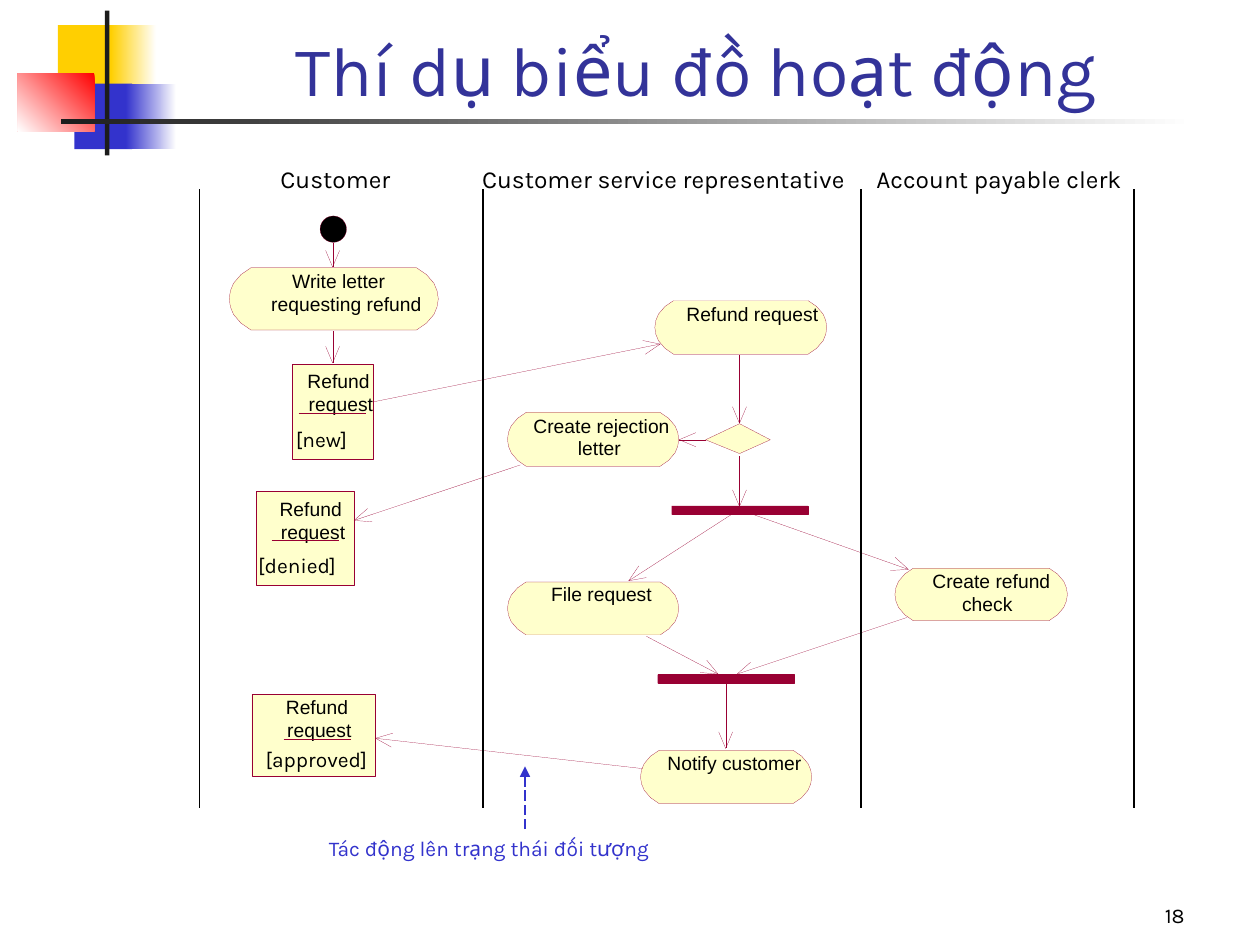
"""Build the swimlane activity diagram slide for a refund request."""
import math
from lxml import etree
from pptx import Presentation, util as u
from pptx.dml.color import RGBColor
from pptx.enum import dml, shapes, text
from pptx.oxml.ns import qn

Pt = u.Pt
C = dict(white="FFFFFF", yellow="FFCF01", blue="3333CC", red="FF0000", dark="1C1C1C",
         title="333399", black="000000", cream="FFFFCC", wine="990033")
ARIAL, KARLA = ("Arial", 11), "Karla"
DASH = dml.MSO_LINE.SQUARE_DOT
HAIRLINE = 0.1
HEAD_LENGTH, HEAD_HALF = 9.5, 4
LINE_PITCH, LABEL_SLACK = 13.1, 3

DECOR = [
    ((33.1, 14.4, 34.6, 37.4), "yellow", None, 0),
    ((63.4, 14.4, 25.9, 37.4), "yellow", "white", 0),
    ((42.5, 47.8, 33.1, 37.4), "blue", None, 0),
    ((72, 47.8, 28.8, 37.4), "blue", "white", 0),
    ((10.1, 41.8, 43.9, 33.1), "red", "white", 225),
    ((60, 6, 2.5, 82.8), "dark", None, 0),
    ((34.6, 68.3, 648, 2.5), "dark", "white", 0),
]
LANES = [114, 276, 492, 648]
LANE_TOP, LANE_BOTTOM = 108, 462
LANE_NAMES = [
    ("Customer", 153.2, 79.2),
    ("Customer service representative", 268.4, 228.2),
    ("Account payable clerk", 493.7, 158.4),
]
OBJECTS = [
    ((167, 208.1, 46.4, 54.3), (175.7, 210.8), (170.6, 235.8), ("[new]", 162, 240, 46.1)),
    ((146.4, 280.8, 56.2, 53.6), (159.8, 284.2), (155.2, 308.9), ("[denied]", 140.4, 312, 61.2)),
    ((143.8, 396.7, 70.4, 46.8), (163.4, 397.2), (162, 422.6), ("[approved]", 144.7, 423.2, 76.3)),
]
ACTIVITIES = [
    ((131, 153, 119.5, 35.6), 154.1, [("Write letter", 167, 56.2), ("requesting refund", 155, 85.7)]),
    ((374.2, 171.8, 98.3, 30.6), 172.8, [("Refund request", 392.2, 75.6)]),
    ((290, 235.6, 97.9, 31), 236.5, [("Create rejection", 304.8, 81.4), ("letter", 330.3, 24.5)]),
    ((290, 332.6, 97.9, 30.2), 332.6, [("File request", 314.9, 57.6)]),
    ((366, 428.8, 97.9, 30.4), 429.1, [("Notify customer", 381.4, 77)]),
    ((511.4, 324.7, 98.6, 30), 325.6, [("Create refund", 532.8, 70.6), ("check", 549.8, 28.8)]),
]
SYNC_BARS = [(383.8, 289.1, 77.8, 5), (375.8, 385.5, 77.8, 5)]
DECISION = [(403.2, 251.3), (422.6, 242.1), (440.2, 251.3), (422.6, 259.2)]
START = (182.9, 123.4, 15.1, 15.1)
FLOWS = [
    ((190.1, 139), (190.1, 152.6), None),
    ((190.1, 189.4), (190.1, 207.4), DASH),
    ((213.1, 229.7), (377.3, 196.6), DASH),
    ((422.6, 203), (422.6, 241.9), None),
    ((403.2, 251.3), (388.1, 251.3), None),
    ((297.4, 265.7), (202.3, 297.4), DASH),
    ((422.6, 260.6), (422.6, 289.4), None),
    ((418.3, 293.8), (359.3, 331.9), None),
    ((429.8, 293.8), (519.1, 325.4), None),
    ((369.4, 363.6), (410.4, 385.2), None),
    ((518.4, 352.8), (421.2, 385.2), None),
    ((414.7, 390.2), (414.7, 427.7), None),
    ((367.2, 439.2), (214.6, 421.9), DASH),
]
END_CURVE = [(0.35, 0), (0.19, 0.11), (0.07, 0.25), (0.02, 0.37), (0, 0.5),
             (0.02, 0.63), (0.07, 0.75), (0.19, 0.89), (0.35, 1)]

prs = Presentation()
prs.slide_width, prs.slide_height = Pt(720), Pt(540)
s = prs.slides.add_slide(prs.slide_layouts[6])


def rgb(name):
    return RGBColor.from_string(C[name])


def paint(sp, fill, line=None):
    sp.shadow.inherit = False
    if fill:
        sp.fill.solid()
        sp.fill.fore_color.rgb = rgb(fill)
    else:
        sp.fill.background()
    if line:
        sp.line.color.rgb = rgb(line)
        sp.line.width = Pt(HAIRLINE)
    else:
        sp.line.fill.background()
    return sp


def add_preset(box, fill, line=None, kind=shapes.MSO_SHAPE.RECTANGLE):
    return paint(s.shapes.add_shape(kind, *map(Pt, box)), fill, line)


def add_outline(points, fill=None, close=True):
    first, *rest = [(Pt(x), Pt(y)) for x, y in points]
    builder = s.shapes.build_freeform(*first, scale=1.0)
    builder.add_line_segments(rest, close=close)
    return paint(builder.convert_to_shape(), fill, "wine")


def add_line(start, end, color="wine", width=HAIRLINE, dash=None):
    line = s.shapes.add_connector(shapes.MSO_CONNECTOR.STRAIGHT, *map(Pt, start + end))
    line.line.color.rgb = rgb(color)
    line.line.width = Pt(width)
    if dash:
        line.line.dash_style = dash
    etree.SubElement(line._element.spPr, qn("a:effectLst"))
    return line


def add_flow(start, end, dash):
    add_line(start, end, dash=dash)
    angle = math.atan2(end[1] - start[1], end[0] - start[0])
    cos, sin = math.cos(angle), math.sin(angle)
    wings = [(end[0] - HEAD_LENGTH * cos - side * sin, end[1] - HEAD_LENGTH * sin + side * cos)
             for side in (HEAD_HALF, -HEAD_HALF)]
    add_outline([wings[0], end, wings[1]], close=False)


def add_text(words, box, font, color="black", inset=(7.2, 3.6), wrap=False,
             align=text.PP_ALIGN.LEFT, anchor=text.MSO_ANCHOR.TOP):
    tf = s.shapes.add_textbox(*map(Pt, box)).text_frame
    tf.margin_left = tf.margin_right = Pt(inset[0])
    tf.margin_top = tf.margin_bottom = Pt(inset[1])
    tf.word_wrap, tf.vertical_anchor = wrap, anchor
    tf.auto_size = text.MSO_AUTO_SIZE.NONE if wrap else text.MSO_AUTO_SIZE.SHAPE_TO_FIT_TEXT
    p = tf.paragraphs[0]
    p.text, p.alignment = words, align
    p.font.name, p.font.size = font[0], Pt(font[1])
    p.font.color.rgb = rgb(color)


def add_label(words, x, y, w):
    add_text(words, (x, y, w + LABEL_SLACK, LINE_PITCH), ARIAL, inset=(0, 0))


for box, color, fade, angle in DECOR:
    sp = add_preset(box, color)
    if fade:
        sp.fill.gradient()
        sp.fill.gradient_angle = angle
        for stop, name in zip(sp.fill.gradient_stops, (color, fade)):
            stop.color.rgb = rgb(name)

add_text("Thí dụ biểu đồ hoạt động", (90.7, 6.2, 613.4, 60.5), (KARLA, 40), "title",
         wrap=True, align=text.PP_ALIGN.CENTER, anchor=text.MSO_ANCHOR.BOTTOM)

for box, (x, y), rule, (state, sx, sy, sw) in OBJECTS:
    add_preset(box, "cream", "wine")
    add_label("Refund", x, y, 38.9)
    add_label("request", x + 0.7, y + LINE_PITCH, 36.7)
    add_line(rule, (rule[0] + 38.6, rule[1]))
    add_text(state, (sx, sy, sw, 21.6), (KARLA, 12))

for (x, y, w, h), top, labels in ACTIVITIES:
    left = [(x + h * i, y + h * f) for i, f in END_CURVE]
    right = [(x + w - h * i, y + h * f) for i, f in reversed(END_CURVE)]
    add_outline(left + right, "cream")
    for row, (words, lx, lw) in enumerate(labels):
        add_label(words, lx, top + row * LINE_PITCH, lw)

add_outline(DECISION, "cream")
for box in SYNC_BARS:
    add_preset(box, "wine", "wine")
add_preset(START, "black", "wine", shapes.MSO_SHAPE.OVAL)
for flow in FLOWS:
    add_flow(*flow)

for x in LANES:
    add_line((x, LANE_TOP), (x, LANE_BOTTOM), "black", 0.75)
for name, x, w in LANE_NAMES:
    add_text(name, (x, 90, w, 24.5), (KARLA, 14))

add_text("Tác động lên trạng thái đối tượng", (180.9, 473.8, 203.8, 21.6), (KARLA, 12), "blue")
pointer = add_line((300, 473.8), (300, 438), "blue", 0.75, dml.MSO_LINE.LONG_DASH)
etree.SubElement(pointer.line._get_or_add_ln(), qn("a:tailEnd"), type="triangle")
add_text("18", (534.2, 497.8, 149.8, 36), (KARLA, 12), wrap=True,
         align=text.PP_ALIGN.RIGHT, anchor=text.MSO_ANCHOR.BOTTOM)

prs.save("out.pptx")
